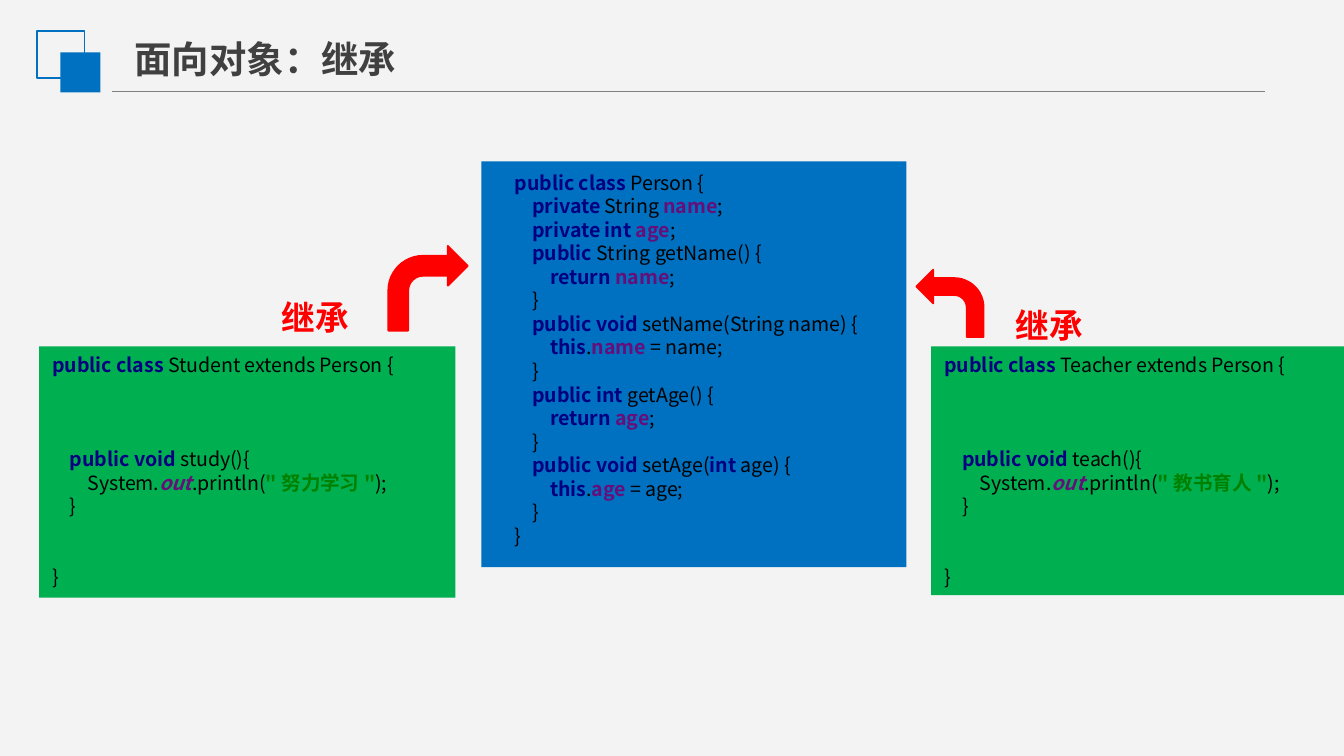
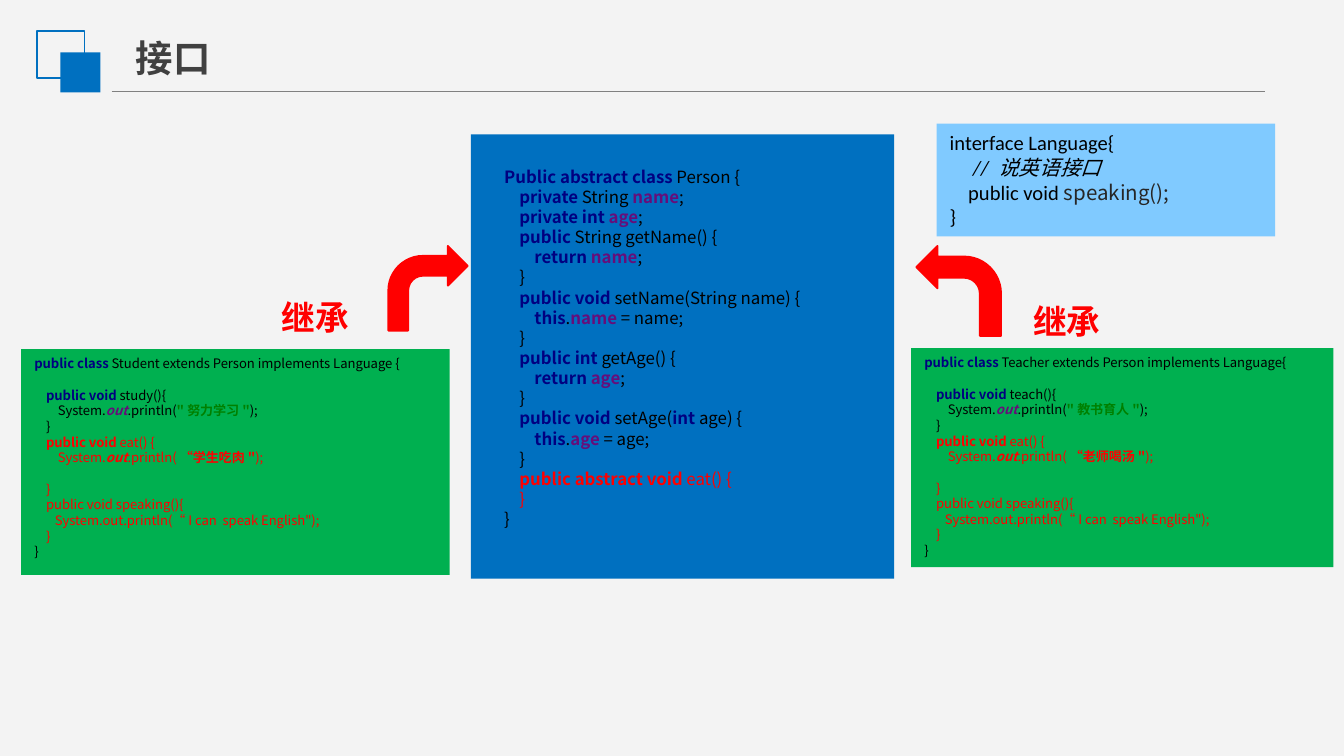
from lxml.etree import SubElement
from pptx import Presentation
from pptx.dml.color import RGBColor
from pptx.enum.shapes import MSO_CONNECTOR as Connector, MSO_SHAPE as Preset
from pptx.enum.text import MSO_ANCHOR as Anchor, PP_ALIGN as Align
from pptx.oxml.ns import qn
from pptx.util import Cm, Pt

FONT = "Noto Sans CJK SC"
BLUE, GREEN, SKY, RED = "0070C0", "00B050", "80CAFF", "FF0000"
BLACK, DARK, GRAY, PAPER = "000000", "404040", "808080", "F3F3F3"
LINE_RATIO = 1.2
INDENT_RATIO = 0.9

STYLES = {
    "k": dict(color="000080", bold=True),
    "f": dict(color="660E7A", bold=True),
    "o": dict(color="660E7A", bold=True, italic=True),
    "s": dict(color="008000", bold=True),
    "c": dict(italic=True),
    "w": dict(color="262626", font=FONT),
}

PERSON_BODY = """
    |kprivate |String |fname|;
    |kprivate int ||fage|;
    |kpublic |String getName() {
        |kreturn ||fname|;
    }
    |kpublic void |setName(String name) {
        |kthis|.|fname |= name;
    }
    |kpublic int |getAge() {
        |kreturn ||fage|;
    }
    |kpublic void |setAge(|kint |age) {
        |kthis|.|fage |= age;
    }
"""
PERSON = "|kpublic class |Person {" + PERSON_BODY + "}"
ABSTRACT_PERSON = "|kPublic abstract class |Person {" + PERSON_BODY + """\
    !|kpublic abstract void |eat() {
    !}
}"""

SUBCLASS = """|kpublic class |CLASS extends Person {



    |kpublic void |METHOD(){
        System.|oout|.println(|s"WORDS"|);
    }


}"""
IMPLEMENTER = """|kpublic class |CLASS extends Person implements LanguageGAP{

    |kpublic void |METHOD(){
        System.|oout|.println(|s"WORDS"|);
    }
    !|kpublic void |eat() {
        !System.|oout|.println(|s“MEAL"|);

    !}
    !public void speaking(){
       !System.out.println(“ I can  speak English");
    !}
}"""
STUDENT = dict(CLASS="Student", METHOD="study", WORDS="努力学习", MEAL="学生吃肉", GAP=" ")
TEACHER = dict(CLASS="Teacher", METHOD="teach", WORDS="教书育人", MEAL="老师喝汤", GAP="")

INTERFACE = """interface Language{
     |c// 说英语接口|
    public void |wspeaking();|
}"""


def rgb(value):
    return RGBColor.from_string(value)


def place(box):
    return [Cm(length) for length in box]


def write(para, text, size=18, color=BLACK, bold=False, italic=False, font=FONT):
    span = para.add_run()
    span.text = text
    span.font.size = Pt(size)
    span.font.bold = bold
    span.font.italic = italic
    span.font.color.rgb = rgb(color)
    span.font.name = font
    SubElement(span.font._element, qn("a:ea"), typeface=FONT)


def add_block(shapes, box, fill=None, line=None, preset=Preset.RECTANGLE):
    shape = shapes.add_shape(preset, *place(box))
    shape.shadow.inherit = False
    if fill:
        shape.fill.solid()
        shape.fill.fore_color.rgb = rgb(fill)
    else:
        shape.fill.background()
    if line:
        shape.line.color.rgb = rgb(line)
        shape.line.width = Pt(1)
    else:
        shape.line.fill.background()
    return shape


def write_code(frame, code, size, font=FONT):
    frame.word_wrap = True
    frame.vertical_anchor = Anchor.TOP
    para, blanks = frame.paragraphs[0], 0
    for number, line in enumerate(code.split("\n")):
        content = line.lstrip(" ")
        if not content:
            blanks += 1
            continue
        if number:
            para = frame.add_paragraph()
        level = (len(line) - len(content)) / 4
        para.alignment = Align.LEFT
        para.line_spacing = Pt(size * LINE_RATIO)
        para.space_before = Pt(size * LINE_RATIO * blanks)
        properties = para._p.get_or_add_pPr()
        properties.set("marL", str(Pt(size * INDENT_RATIO * level)))
        properties.set("indent", "0")
        blanks = 0
        red = content.startswith("!")
        for index, piece in enumerate(content.lstrip("!").split("|")):
            if not piece:
                continue
            styled = index % 2
            look = dict(size=size, font=font)
            if styled:
                look.update(STYLES[piece[0]])
            if red:
                look["color"] = RED
            write(para, piece[1:] if styled else piece, **look)


def add_header(page, title, box):
    rule = page.shapes.add_connector(Connector.STRAIGHT, *place((2.11, 1.73, 23.9, 1.73)))
    rule.line.color.rgb = rgb(GRAY)
    rule.line.width = Pt(0.75)
    SubElement(rule.element.spPr, qn("a:effectLst"))
    squares = page.shapes.add_group_shape().shapes
    add_block(squares, (0.7, 0.58, 0.9, 0.9), line=BLUE)
    add_block(squares, (1.14, 0.99, 0.76, 0.76), fill=BLUE)

    heading = page.shapes.title
    heading.left, heading.top, heading.width, heading.height = place(box)
    frame = heading.text_frame
    frame.word_wrap = True
    frame.vertical_anchor = Anchor.TOP
    para = frame.paragraphs[0]
    para.alignment = Align.LEFT
    para.line_spacing = Pt(20 * LINE_RATIO)
    write(para, title, size=20, color=DARK, bold=True)


def add_person(page, box, code, size, top_gap):
    left, top, width, height = box
    shapes = page.shapes.add_group_shape().shapes
    add_block(shapes, box, fill=BLUE)
    text_box = (left + 0.38, top + top_gap, width - 0.38, height - top_gap)
    write_code(shapes.add_textbox(*place(text_box)).text_frame, code, size)


def add_class(page, box, template, words, size):
    code = template
    for key, word in words.items():
        code = code.replace(key, word)
    write_code(add_block(page.shapes, box, fill=GREEN).text_frame, code, size)


def add_inherit(page, box, label_offset, label_width, flip=False):
    arrow = add_block(page.shapes, box, fill=RED, line=RED, preset=Preset.BENT_ARROW)
    if flip:
        arrow.element.spPr.get_or_add_xfrm().set("flipH", "1")
    across, down = label_offset
    label_box = (box[0] + across, box[1] + down, label_width, 1.35)
    frame = page.shapes.add_textbox(*place(label_box)).text_frame
    frame.word_wrap = True
    para = frame.paragraphs[0]
    para.line_spacing = Pt(18 * LINE_RATIO * 1.5)
    write(para, "继承", size=18, color=RED, bold=True)


def add_left_inherit(page):
    add_inherit(page, (7.34, 4.65, 1.5, 1.6), (-2.26, 0.45), 2.2)


def add_page(deck, title, box):
    page = deck.slides.add_slide(deck.slide_layouts[5])
    add_header(page, title, box)
    return page


def build_inheritance(deck):
    page = add_page(deck, "面向对象：继承", (2.29, 0.56, 5.7, 1.12))
    add_class(page, (0.74, 6.55, 7.87, 4.75), SUBCLASS, STUDENT, 10.5)
    add_class(page, (17.6, 6.55, 7.8, 4.7), SUBCLASS, TEACHER, 10.5)
    add_person(page, (9.1, 3.05, 8.03, 7.67), PERSON, 10.5, 0.05)
    add_left_inherit(page)
    add_inherit(page, (17.32, 5.1, 1.27, 1.27), (1.63, 0.16), 3.18, flip=True)


def build_interface(deck):
    page = add_page(deck, "接口", (2.31, 0.53, 6.2, 1.12))
    add_class(page, (0.4, 6.6, 8.1, 4.27), IMPLEMENTER, STUDENT, 7)
    add_class(page, (17.22, 6.58, 7.98, 4.14), IMPLEMENTER, TEACHER, 7)
    add_person(page, (8.9, 2.54, 8, 8.4), ABSTRACT_PERSON, 9, 0.48)
    add_left_inherit(page)
    add_inherit(page, (17.32, 4.65, 1.6, 1.7), (1.96, 0.53), 3.18, flip=True)
    language = add_block(page.shapes, (17.7, 2.34, 6.4, 2.13), fill=SKY)
    write_code(language.text_frame, INTERFACE, 11, font="Calibri")


def main():
    deck = Presentation()
    deck.slide_width, deck.slide_height = Cm(25.4), Cm(14.29)
    backdrop = deck.slide_master.background.fill
    backdrop.solid()
    backdrop.fore_color.rgb = rgb(PAPER)
    build_inheritance(deck)
    build_interface(deck)
    deck.save("out.pptx")


if __name__ == "__main__":
    main()
